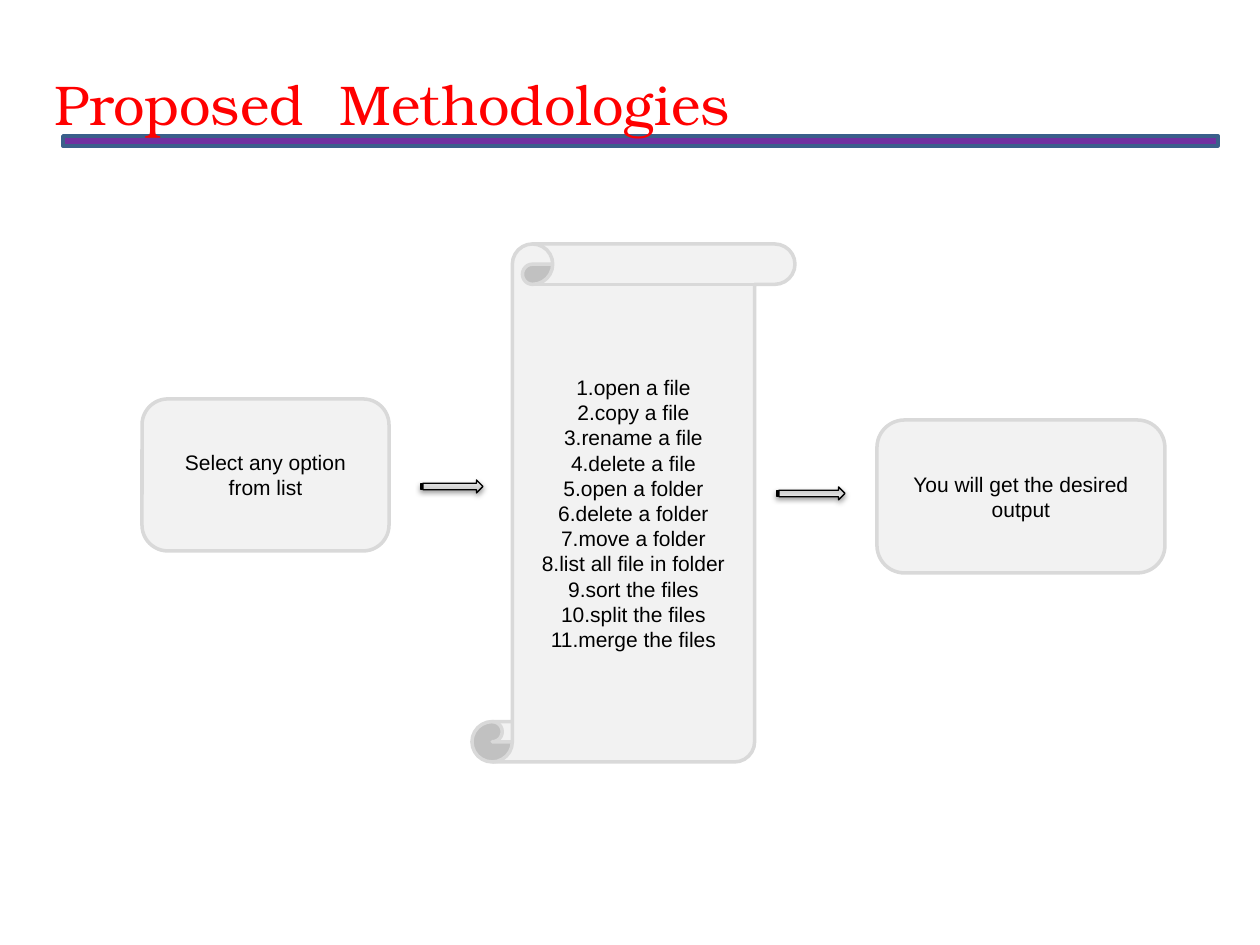
from copy import deepcopy

from lxml.etree import SubElement
from pptx import Presentation
from pptx.dml.color import RGBColor
from pptx.enum.shapes import MSO_SHAPE as Preset
from pptx.enum.text import MSO_ANCHOR as Anchor, MSO_AUTO_SIZE as AutoSize, PP_ALIGN as Align
from pptx.oxml.ns import qn
from pptx.util import Emu, Pt

PX = 914400 / 126
WIDTH, HEIGHT = 1260, 945
BLANK_LAYOUT = 6

OPTIONS = [
    "open a file", "copy a file", "rename a file", "delete a file",
    "open a folder", "delete a folder", "move a folder",
    "list all file in folder", "sort the files", "split the files",
    "merge the files",
]


def px(length):
    return Emu(round(length * PX))


def color(value):
    return RGBColor.from_string(value)


class FlowSlide:
    """Holds the style and the page that the elements are drawn on."""
    title_font, body_font = "TeX Gyre Bonum", "Arial"
    title_size, body_size = 32, 12
    title_color, text_color = "FF0000", "000000"
    panel_fill, panel_line = "F2F2F2", "D9D9D9"
    bar_fill, bar_line = "7030A0", "3A5F8B"
    arrow_stops = [(0, "BDBDBD"), (0.35, "D1D1D1"), (1, "EEEEEE")]

    def __init__(self, deck):
        self.page = deck.slides.add_slide(deck.slide_layouts[BLANK_LAYOUT])

    def add_span(self, para, text, font, size, text_color):
        span = para.add_run()
        span.text = text
        span.font.name = font
        span.font.size = Pt(size)
        span.font.color.rgb = color(text_color)

    def title(self, text, *place):
        box = self.page.shapes.add_textbox(*map(px, place))
        frame = box.text_frame
        frame.word_wrap = True
        frame.auto_size = AutoSize.SHAPE_TO_FIT_TEXT
        self.add_span(frame.paragraphs[0], text, self.title_font,
                      self.title_size, self.title_color)

    def outlined(self, preset, place, line, width):
        shape = self.page.shapes.add_shape(preset, *map(px, place))
        shape.shadow.inherit = False
        shape.line.color.rgb = color(line)
        shape.line.width = Pt(width)
        return shape

    def bar(self, *place):
        shape = self.outlined(Preset.RECTANGLE, place, self.bar_line, 2)
        shape.fill.solid()
        shape.fill.fore_color.rgb = color(self.bar_fill)

    def panel(self, preset, place, adjustment, lines):
        """Draw a grey step with centred lines of text."""
        shape = self.outlined(preset, place, self.panel_line, 2)
        shape.adjustments[0] = adjustment
        shape.fill.solid()
        shape.fill.fore_color.rgb = color(self.panel_fill)
        frame = shape.text_frame
        frame.word_wrap = True
        frame.vertical_anchor = Anchor.MIDDLE
        for index, line in enumerate(lines):
            para = frame.add_paragraph() if index else frame.paragraphs[0]
            para.alignment = Align.CENTER
            self.add_span(para, line, self.body_font, self.body_size, self.text_color)

    def arrow(self, *place, flipped=False):
        shape = self.outlined(Preset.STRIPED_RIGHT_ARROW, place, "000000", 0.75)
        self.shade(shape.fill)
        properties = shape._element.spPr
        self.drop_shadow(properties.find(qn("a:effectLst")))
        if flipped:
            properties.find(qn("a:xfrm")).set("flipV", "1")

    def shade(self, fill):
        """Apply the three-stop gradient of the arrows."""
        fill.gradient()
        fill.gradient_angle = 90
        stop_list = fill._xPr.find(qn("a:gradFill")).find(qn("a:gsLst"))
        stop_list.append(deepcopy(stop_list[0]))
        for stop, (position, value) in zip(fill.gradient_stops, self.arrow_stops):
            stop.position = position
            stop.color.rgb = color(value)

    def drop_shadow(self, effects):
        shadow = SubElement(effects, qn("a:outerShdw"), blurRad="40000",
                            dist="20000", dir="5400000", rotWithShape="0")
        tint = SubElement(shadow, qn("a:srgbClr"), val="000000")
        SubElement(tint, qn("a:alpha"), val="38000")


def main():
    deck = Presentation()
    deck.slide_width, deck.slide_height = px(WIDTH), px(HEIGHT)
    slide = FlowSlide(deck)

    slide.bar(63, 136, 1155, 10)
    slide.title("Proposed  Methodologies", 42, 63, 809, 81)

    slide.panel(Preset.ROUNDED_RECTANGLE, (142, 399, 247, 152), 0.17,
                ["Select any option from list"])
    slide.panel(Preset.VERTICAL_SCROLL, (472, 244, 323, 518), 0.125,
                [f"{number}.{option}" for number, option in enumerate(OPTIONS, 1)])
    slide.panel(Preset.ROUNDED_RECTANGLE, (877, 420, 288, 153), 0.18,
                ["You will get the desired output"])

    slide.arrow(421, 480, 62, 13)
    slide.arrow(777, 487, 68, 13, flipped=True)

    deck.save("out.pptx")


if __name__ == "__main__":
    main()
